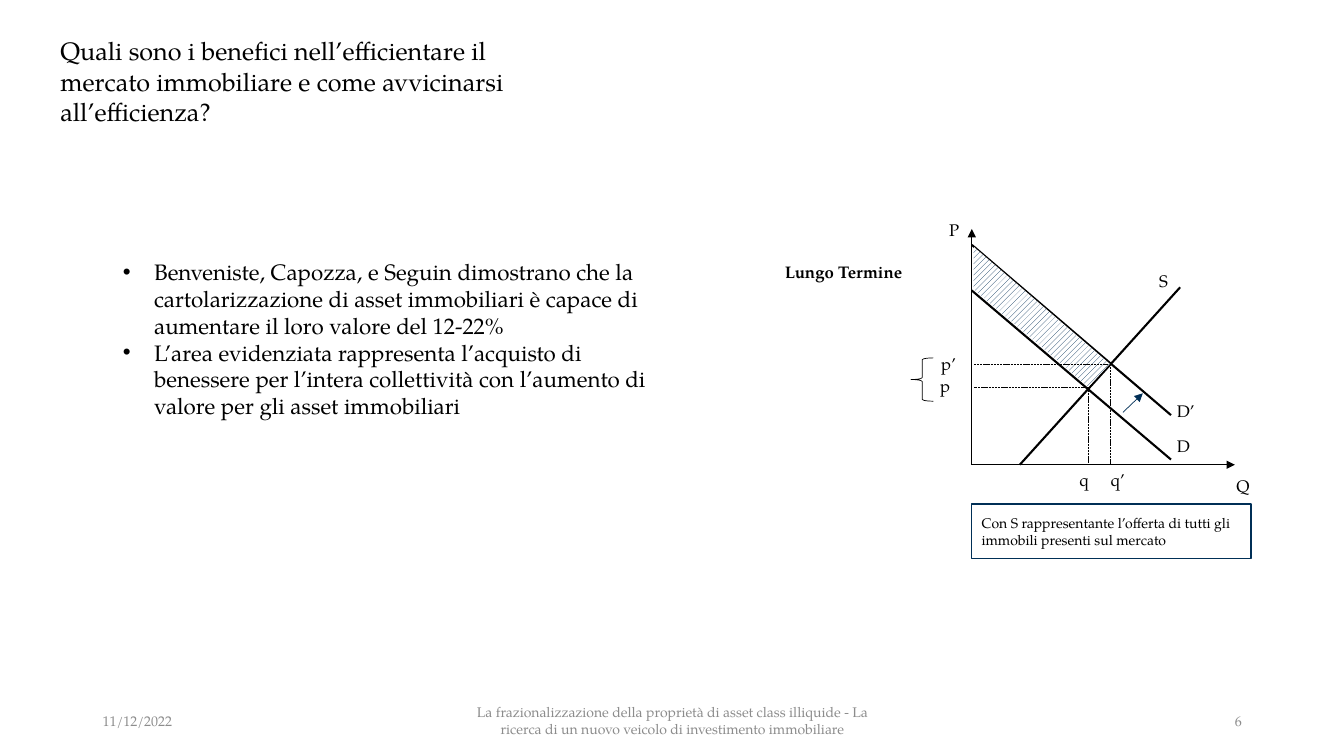
from dataclasses import dataclass

from lxml.etree import SubElement
from pptx import Presentation
from pptx.dml.color import RGBColor
from pptx.enum.dml import MSO_LINE, MSO_PATTERN
from pptx.enum.shapes import MSO_CONNECTOR, MSO_SHAPE
from pptx.enum.text import MSO_ANCHOR, MSO_AUTO_SIZE, PP_ALIGN
from pptx.oxml.ns import qn
from pptx.shapes.base import BaseShape
from pptx.slide import Slide
from pptx.text.text import TextFrame, _Paragraph
from pptx.util import Cm, Pt


@dataclass(frozen=True)
class Theme:
    face: str = "TeX Gyre Pagella"
    ink: RGBColor = RGBColor(0x00, 0x00, 0x00)
    navy: RGBColor = RGBColor(0x00, 0x2F, 0x56)
    gray: RGBColor = RGBColor(0x8C, 0x8C, 0x8C)
    white: RGBColor = RGBColor(0xFF, 0xFF, 0xFF)
    head: float = 18
    body: float = 16
    label: float = 12
    small: float = 10
    thin: float = 0.5
    frame: float = 1
    thick: float = 1.5


THEME = Theme()


@dataclass(frozen=True)
class Stroke:
    x1: float
    y1: float
    x2: float
    y2: float
    width: float = THEME.thin
    color: RGBColor = THEME.ink
    arrow: bool = False
    dash: bool = False


@dataclass(frozen=True)
class Label:
    text: str
    left: float
    top: float
    width: float = 1.04
    bold: bool = False


@dataclass(frozen=True)
class Foot:
    text: str
    left: float
    width: float
    align: PP_ALIGN


LEFT, BASE = 24.49, 11.71
END = 29.51

CURVES = [
    Stroke(LEFT, BASE, LEFT, 5.77, arrow=True),
    Stroke(LEFT, BASE, 31.12, BASE, arrow=True),
    Stroke(25.7, BASE, 29.74, 7.24, THEME.thick),
    Stroke(END, 10.46, LEFT, 6.17, THEME.thick),
    Stroke(END, 11.58, LEFT, 7.32, THEME.thick),
]
GAIN = [(24.54, 6.22), (24.54, 7.29), (27.43, 9.75), (27.97, 9.17)]
GUIDES = [
    Stroke(28.3, 10.39, 28.8, 9.91, color=THEME.navy, arrow=True),
    Stroke(27.43, 9.75, 27.43, BASE, dash=True),
    Stroke(27.99, 9.25, 27.99, BASE, dash=True),
    Stroke(27.43, 9.75, 24.54, 9.75, dash=True),
    Stroke(27.91, 9.19, 24.54, 9.19, dash=True),
]
LABELS = [
    Label("P", 23.67, 5.38, 0.58),
    Label("Q", 30.91, 11.84, 0.64),
    Label("S", 28.96, 6.65, 0.58),
    Label("D", 29.41, 10.82, 0.58),
    Label("D’", 29.41, 9.93, 1.14),
    Label("q", 26.95, 11.68),
    Label("q’", 27.74, 11.68),
    Label("p’", 23.47, 8.76),
    Label("p", 23.44, 9.32),
    Label("Lungo Termine", 19.53, 6.43, 8.38, True),
]
POINTS = [
    "Benveniste, Capozza, e Seguin dimostrano che la cartolarizzazione di asset "
    "immobiliari è capace di aumentare il loro valore del 12-22%",
    "L’area evidenziata rappresenta l’acquisto di benessere per l’intera "
    "collettività con l’aumento di valore per gli asset immobiliari",
]
FEET = [
    Foot("11/12/2022", 2.34, 7.62, PP_ALIGN.LEFT),
    Foot(
        "La frazionalizzazione della proprietà di asset class illiquide - "
        "La ricerca di un nuovo veicolo di investimento immobiliare",
        11.23, 11.43, PP_ALIGN.CENTER,
    ),
    Foot("6", 23.93, 7.62, PP_ALIGN.RIGHT),
]


def place(shape: BaseShape, left: float, top: float, width: float, height: float) -> None:
    shape.left, shape.top = Cm(left), Cm(top)
    shape.width, shape.height = Cm(width), Cm(height)


def set_frame(frame: TextFrame, anchor: MSO_ANCHOR) -> None:
    frame.word_wrap = True
    frame.auto_size = MSO_AUTO_SIZE.NONE
    frame.vertical_anchor = anchor


def write(par: _Paragraph, text: str, size: float, color: RGBColor = THEME.ink,
          bold: bool = False, align: PP_ALIGN = PP_ALIGN.LEFT) -> None:
    par.alignment = align
    run = par.add_run()
    run.text = text
    font = run.font
    font.name, font.size, font.bold = THEME.face, Pt(size), bold
    font.color.rgb = color


def add_title(slide: Slide) -> None:
    title = slide.shapes.title
    place(title, 0, 0, 12.95, 3.51)
    frame = title.text_frame
    set_frame(frame, MSO_ANCHOR.TOP)
    frame.margin_left, frame.margin_top = Cm(1.52), Cm(0.9)
    write(frame.paragraphs[0], "Quali sono i benefici nell’efficientare il mercato "
          "immobiliare e come avvicinarsi all’efficienza?", THEME.head)


def add_points(slide: Slide) -> None:
    body = slide.placeholders[1]
    place(body, 2.84, 1.5, 13.97, 14.07)
    frame = body.text_frame
    set_frame(frame, MSO_ANCHOR.MIDDLE)
    for i, text in enumerate(POINTS):
        par = frame.add_paragraph() if i else frame.paragraphs[0]
        props = par._p.get_or_add_pPr()
        props.set("marL", str(Cm(0.79)))
        props.set("indent", str(-Cm(0.79)))
        SubElement(props, qn("a:buFont")).set("typeface", "Arial")
        SubElement(props, qn("a:buChar")).set("char", "•")
        par.space_before = Pt(0)
        write(par, text, THEME.body)


def add_stroke(slide: Slide, item: Stroke) -> None:
    link = slide.shapes.add_connector(
        MSO_CONNECTOR.STRAIGHT, Cm(item.x1), Cm(item.y1), Cm(item.x2), Cm(item.y2))
    line = link.line
    line.width = Pt(item.width)
    line.color.rgb = item.color
    if item.dash:
        line.dash_style = MSO_LINE.SQUARE_DOT
    if item.arrow:
        SubElement(line._get_or_add_ln(), qn("a:tailEnd")).set("type", "triangle")
    SubElement(link._element.spPr, qn("a:effectLst"))


def add_gain(slide: Slide) -> None:
    first, *rest = [(Cm(x), Cm(y)) for x, y in GAIN]
    build = slide.shapes.build_freeform(*first)
    build.add_line_segments(rest, close=True)
    shape = build.convert_to_shape()
    shape.shadow.inherit = False
    shape.line.fill.background()
    shape.fill.patterned()
    shape.fill.pattern = MSO_PATTERN.WIDE_UPWARD_DIAGONAL
    shape.fill.fore_color.rgb = THEME.navy
    shape.fill.back_color.rgb = THEME.white


def add_label(slide: Slide, item: Label) -> None:
    box = slide.shapes.add_textbox(Cm(item.left), Cm(item.top), Cm(item.width), Cm(0.79))
    frame = box.text_frame
    set_frame(frame, MSO_ANCHOR.TOP)
    frame.margin_right = 0
    par = frame.paragraphs[0]
    par.line_spacing = 1.07
    write(par, item.text, THEME.label, bold=item.bold)


def add_shape(slide: Slide, kind: MSO_SHAPE, left: float, top: float, width: float,
              height: float, color: RGBColor, line: float) -> BaseShape:
    shape = slide.shapes.add_shape(kind, Cm(left), Cm(top), Cm(width), Cm(height))
    shape.shadow.inherit = False
    shape.fill.background()
    shape.line.color.rgb = color
    shape.line.width = Pt(line)
    return shape


def add_foot(slide: Slide, item: Foot) -> None:
    box = slide.shapes.add_textbox(Cm(item.left), Cm(17.65), Cm(item.width), Cm(1.02))
    set_frame(box.text_frame, MSO_ANCHOR.MIDDLE)
    write(box.text_frame.paragraphs[0], item.text, THEME.small, THEME.gray, align=item.align)


def main() -> None:
    deck = Presentation()
    deck.slide_width, deck.slide_height = Cm(33.87), Cm(19.05)
    slide = deck.slides.add_slide(deck.slide_layouts[1])
    add_title(slide)
    add_points(slide)
    for curve in CURVES:
        add_stroke(slide, curve)
    add_gain(slide)
    for guide in GUIDES:
        add_stroke(slide, guide)
    for label in LABELS:
        add_label(slide, label)
    add_shape(slide, MSO_SHAPE.LEFT_BRACE, 22.96, 9.02, 0.56, 1.09, THEME.ink, THEME.thin)
    note = add_shape(slide, MSO_SHAPE.RECTANGLE, LEFT, 12.7, 7.04, 1.37, THEME.navy, THEME.frame)
    set_frame(note.text_frame, MSO_ANCHOR.MIDDLE)
    write(note.text_frame.paragraphs[0], "Con S rappresentante l’offerta di tutti gli "
          "immobili presenti sul mercato", THEME.small)
    for foot in FEET:
        add_foot(slide, foot)
    deck.save("out.pptx")


if __name__ == "__main__":
    main()
